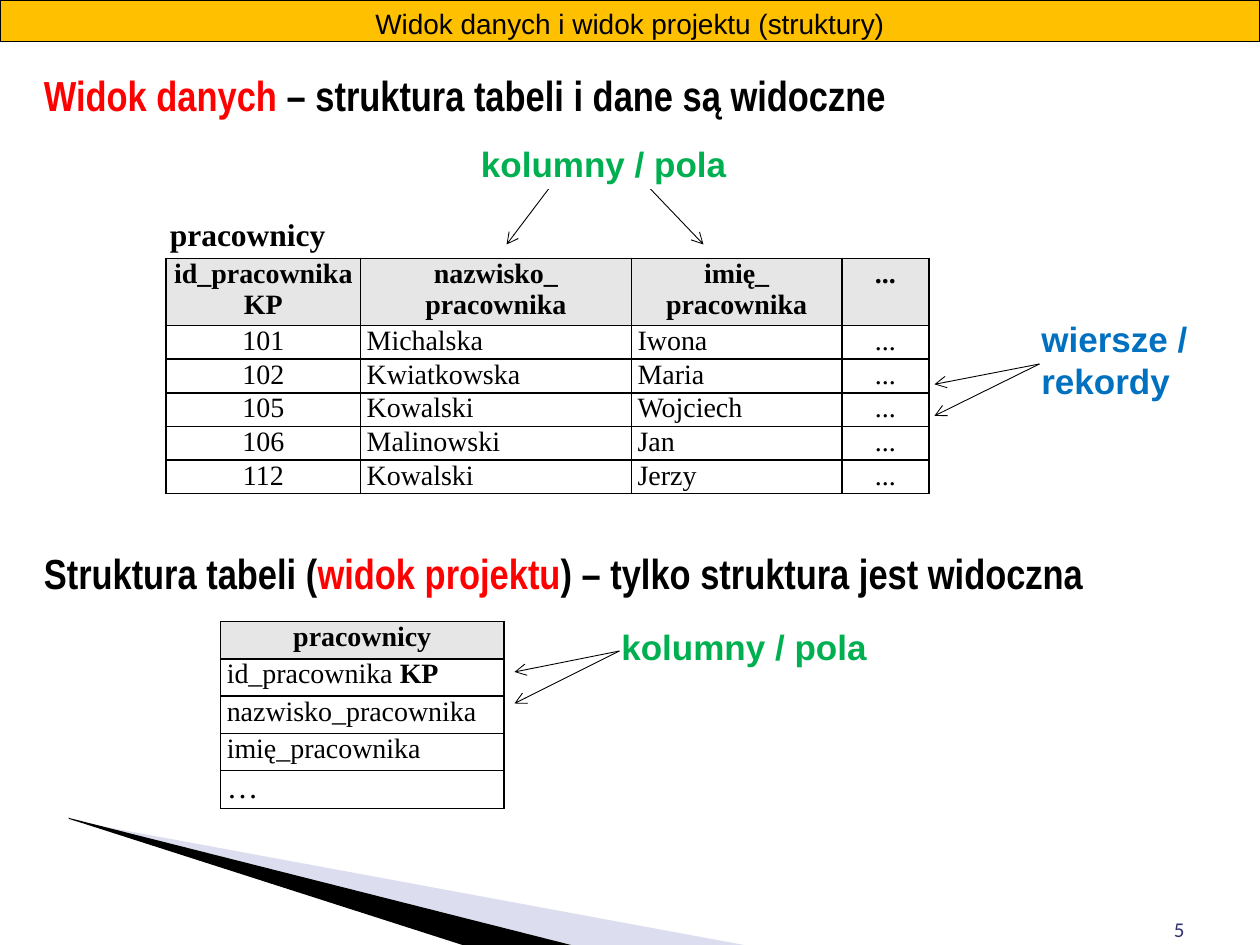
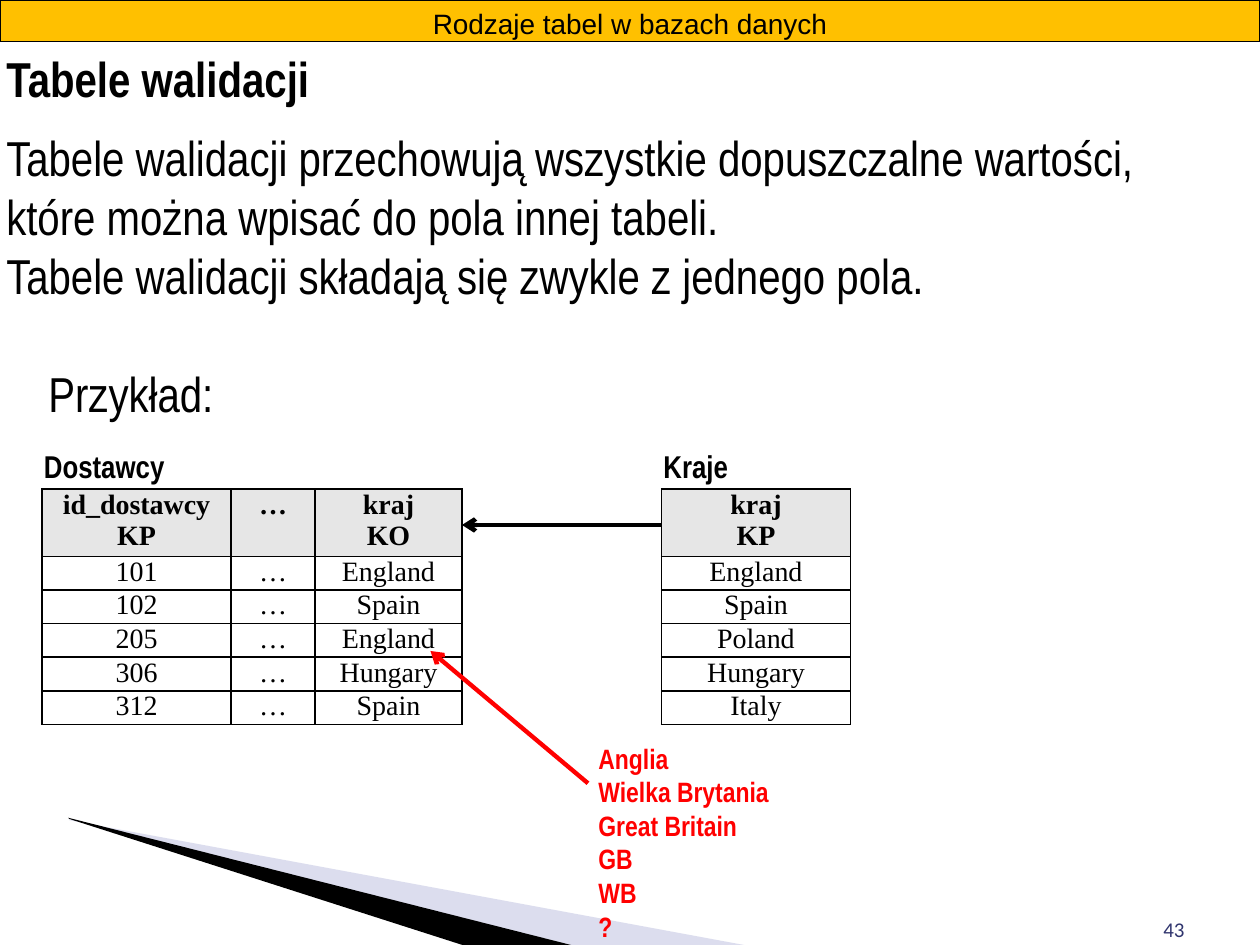
from lxml import etree
from pptx import Presentation
from pptx import util as u
from pptx.dml.color import RGBColor
from pptx.enum import shapes, text
from pptx.oxml import ns

Pt = u.Pt
BLACK = RGBColor(0x00, 0x00, 0x00)
WHITE = RGBColor(0xFF, 0xFF, 0xFF)
GOLD = RGBColor(0xFF, 0xC0, 0x00)
GREY = RGBColor(0xE6, 0xE6, 0xE6)
LILAC = RGBColor(0xA8, 0xAB, 0xD5)
NAVY = RGBColor(0x30, 0x35, 0x6E)
RED = RGBColor(0xFF, 0x00, 0x00)
GREEN = RGBColor(0x00, 0xB0, 0x50)
BLUE = RGBColor(0x00, 0x70, 0xC0)
SANS, NARROW, SERIF = "Arial", "Arial Narrow", "Times New Roman"
ALIGN = {"l": text.PP_ALIGN.LEFT, "c": text.PP_ALIGN.CENTER, "r": text.PP_ALIGN.RIGHT}


def write(frame, words, size=16, font=SANS, colour=BLACK, bold=False, align="l",
          accent=None, bold_lines=(), space_before=None, inset=None):
    """Lines become paragraphs; parts between asterisks are bold, in the accent colour."""
    frame.word_wrap = True
    frame.vertical_anchor = text.MSO_ANCHOR.TOP
    if inset is not None:
        frame.margin_left = frame.margin_right = Pt(inset)
        frame.margin_top = frame.margin_bottom = Pt(inset)
    for number, line in enumerate(words.split("\n")):
        para = frame.add_paragraph() if number else frame.paragraphs[0]
        para.alignment = ALIGN[align]
        if space_before and number in space_before:
            para.space_before = Pt(space_before[number])
        for index, part in enumerate(line.split("*")):
            if not part:
                continue
            marked = index % 2 == 1
            span = para.add_run()
            span.text = part
            span.font.size = Pt(size)
            span.font.name = font
            span.font.bold = bold or marked or number in bold_lines
            span.font.color.rgb = accent if marked and accent else colour


def add_child(parent, tag, **attributes):
    return etree.SubElement(parent, ns.qn(tag), attributes)


# Wedges at the foot of every page: points, colour, opacity in percent
WEDGES = [
    ([(39.6, 468.7), (429.1, 540.7), (329, 540.7), (39.6, 468)], LILAC, 40),
    ([(38.9, 467.3), (329, 540.7), (268.6, 541.4), (39.6, 468)], BLACK, 100),
]

HEADING = dict(size=24, font=NARROW, bold=True, accent=RED)
FIELD_LABEL = dict(size=20, bold=True, colour=GREEN)
TABLE_LABEL = dict(size=18, font=NARROW, bold=True)
BODY = dict(size=28, font=NARROW, inset=3.6)

PAGES = [
    dict(
        title="Widok danych i widok projektu (struktury)",
        number="5",
        # Place, column widths, header and row height, column alignment, rows
        tables=[
            dict(at=(95, 147.6), widths=(111, 154.8, 120.4, 49.6),
                 heights=(35.6, 17.8), aligns="cllc", rows=[
                     ("id_pracownika\nKP", "nazwisko_\npracownika", "imię_\npracownika", "..."),
                     ("101", "Michalska", "Iwona", "..."),
                     ("102", "Kwiatkowska", "Maria", "..."),
                     ("105", "Kowalski", "Wojciech", "..."),
                     ("106", "Malinowski", "Jan", "..."),
                     ("112", "Kowalski", "Jerzy", "...")]),
            dict(at=(126, 355.2), widths=(162,), heights=(21.3, 21.3),
                 aligns="l", last_size=18, rows=[
                     ("pracownicy",), ("id_pracownika *KP*",), ("nazwisko_pracownika",),
                     ("imię_pracownika",), ("…",)]),
        ],
        # From, to, colour, width
        arrows=[
            ((594, 208), (534, 219.6), BLACK, 0.5),
            ((594, 208), (534, 237.6), BLACK, 0.5),
            ((318, 102), (289.5, 139.7), BLACK, 0.5),
            ((366, 102), (402, 139.7), BLACK, 0.5),
            ((354, 372), (294, 384), BLACK, 0.5),
            ((354, 372), (294, 402), BLACK, 0.5),
        ],
        # Place, words, fill, format
        texts=[
            ((90, 119.5, 136, 29), "pracownicy", None,
             dict(size=18, font=SERIF, bold=True)),
            ((18, 36, 666, 36), "*Widok danych* – struktura tabeli i dane są widoczne",
             None, HEADING),
            ((18, 309.6, 666, 36),
             "Struktura tabeli (*widok projektu*) – tylko struktura jest widoczna",
             None, HEADING),
            ((588, 178, 102, 68), "wiersze / rekordy", None,
             dict(size=20, bold=True, colour=BLUE)),
            ((258, 78, 174, 30), "kolumny / pola", WHITE, dict(FIELD_LABEL, align="c")),
            ((348, 354, 186, 35), "kolumny / pola", None, FIELD_LABEL),
        ],
    ),
    dict(
        title="Rodzaje tabel w bazach danych",
        number="43",
        tables=[
            dict(at=(24, 279.5), widths=(108, 48, 84), heights=(35.6, 17.8),
                 aligns="ccc", rows=[
                     ("id_dostawcy\nKP", "…", "kraj\nKO"),
                     ("101", "…", "England"),
                     ("102", "…", "Spain"),
                     ("205", "…", "England"),
                     ("306", "…", "Hungary"),
                     ("312", "…", "Spain")]),
            dict(at=(378, 279.5), widths=(108,), heights=(38.4, 19.2),
                 aligns="c", rows=[
                     ("kraj\nKP",), ("England",), ("Spain",), ("Poland",),
                     ("Hungary",), ("Italy",)]),
        ],
        arrows=[
            ((378, 300), (264, 300), BLACK, 2.5),
            ((336, 447.6), (246, 372), RED, 2.5),
        ],
        texts=[
            ((0, 24, 670, 180),
             "Tabele walidacji\n"
             "Tabele walidacji przechowują wszystkie dopuszczalne wartości, "
             "które można wpisać do pola innej tabeli.\n"
             "Tabele walidacji składają się zwykle z jednego pola.",
             None, dict(BODY, bold_lines=(0,), space_before={1: 12})),
            ((18, 252, 90, 29), "Dostawcy", None, TABLE_LABEL),
            ((24, 204, 120, 42), "Przykład:", None, BODY),
            ((372, 252, 60, 29), "Kraje", None, TABLE_LABEL),
            ((338.4, 420, 124, 120),
             "Anglia\nWielka Brytania\nGreat Britain\nGB\nWB\n?", None,
             dict(font=NARROW, bold=True, colour=RED, inset=3.6)),
        ],
    ),
]

deck = Presentation()
deck.slide_width, deck.slide_height = Pt(720), Pt(540)

for content in PAGES:
    page = deck.slides.add_slide(deck.slide_layouts[6])

    # Wedges
    for points, colour, opacity in WEDGES:
        builder = page.shapes.build_freeform(Pt(points[0][0]), Pt(points[0][1]))
        builder.add_line_segments([(Pt(x), Pt(y)) for x, y in points[1:]], close=True)
        wedge = builder.convert_to_shape()
        wedge.shadow.inherit = False
        wedge.line.fill.background()
        wedge.fill.solid()
        wedge.fill.fore_color.rgb = colour
        if opacity < 100:
            tint = wedge.fill._xPr.find(".//" + ns.qn("a:srgbClr"))
            add_child(tint, "a:alpha", val=str(opacity * 1000))

    # Page number
    box = page.shapes.add_textbox(Pt(516), Pt(504), Pt(168), Pt(37.4))
    write(box.text_frame, content["number"], size=12, font="Calibri", colour=NAVY, align="r")
    box.text_frame.vertical_anchor = text.MSO_ANCHOR.BOTTOM

    # Title band
    band = page.shapes.add_shape(shapes.MSO_SHAPE.RECTANGLE, 0, 0, Pt(720), Pt(23.8))
    band.shadow.inherit = False
    band.fill.solid()
    band.fill.fore_color.rgb = GOLD
    band.line.color.rgb = BLACK
    band.line.width = Pt(0.75)
    write(band.text_frame, content["title"], align="c")

    # Tables
    for grid in content["tables"]:
        rows, widths = grid["rows"], grid["widths"]
        head, body = grid["heights"]
        left, top = grid["at"]
        table = page.shapes.add_table(
            len(rows), len(widths), Pt(left), Pt(top),
            Pt(sum(widths)), Pt(head + body * (len(rows) - 1))).table
        table.first_row = table.horz_banding = False
        for column, width in zip(table.columns, widths):
            column.width = Pt(width)
        for r, row in enumerate(rows):
            table.rows[r].height = Pt(body if r else head)
            for c, words in enumerate(row):
                cell = table.cell(r, c)
                cell.margin_left = cell.margin_right = Pt(3.6)
                cell.margin_top = cell.margin_bottom = 0
                properties = cell._tc.get_or_add_tcPr()
                for side in ("L", "R", "T", "B"):
                    border = add_child(properties, "a:ln" + side, w=str(Pt(1)))
                    add_child(add_child(border, "a:solidFill"), "a:srgbClr", val=str(BLACK))
                if r:
                    cell.fill.background()
                else:
                    cell.fill.solid()
                    cell.fill.fore_color.rgb = GREY
                last = r == len(rows) - 1
                write(cell.text_frame, words, font=SERIF, bold=r == 0,
                      size=grid.get("last_size", 16) if last else 16,
                      align=grid["aligns"][c] if r else "c")

    # Arrows
    for start, end, colour, width in content["arrows"]:
        arrow = page.shapes.add_connector(
            shapes.MSO_CONNECTOR.STRAIGHT, *[Pt(value) for value in start + end])
        arrow.line.color.rgb = colour
        arrow.line.width = Pt(width)
        add_child(arrow.line._get_or_add_ln(), "a:tailEnd", type="arrow")
        add_child(arrow._element.spPr, "a:effectLst")

    # Headings, labels and body text
    for place, words, fill, style in content["texts"]:
        box = page.shapes.add_textbox(*[Pt(value) for value in place])
        if fill is not None:
            box.fill.solid()
            box.fill.fore_color.rgb = fill
        write(box.text_frame, words, **style)

deck.save("out.pptx")
